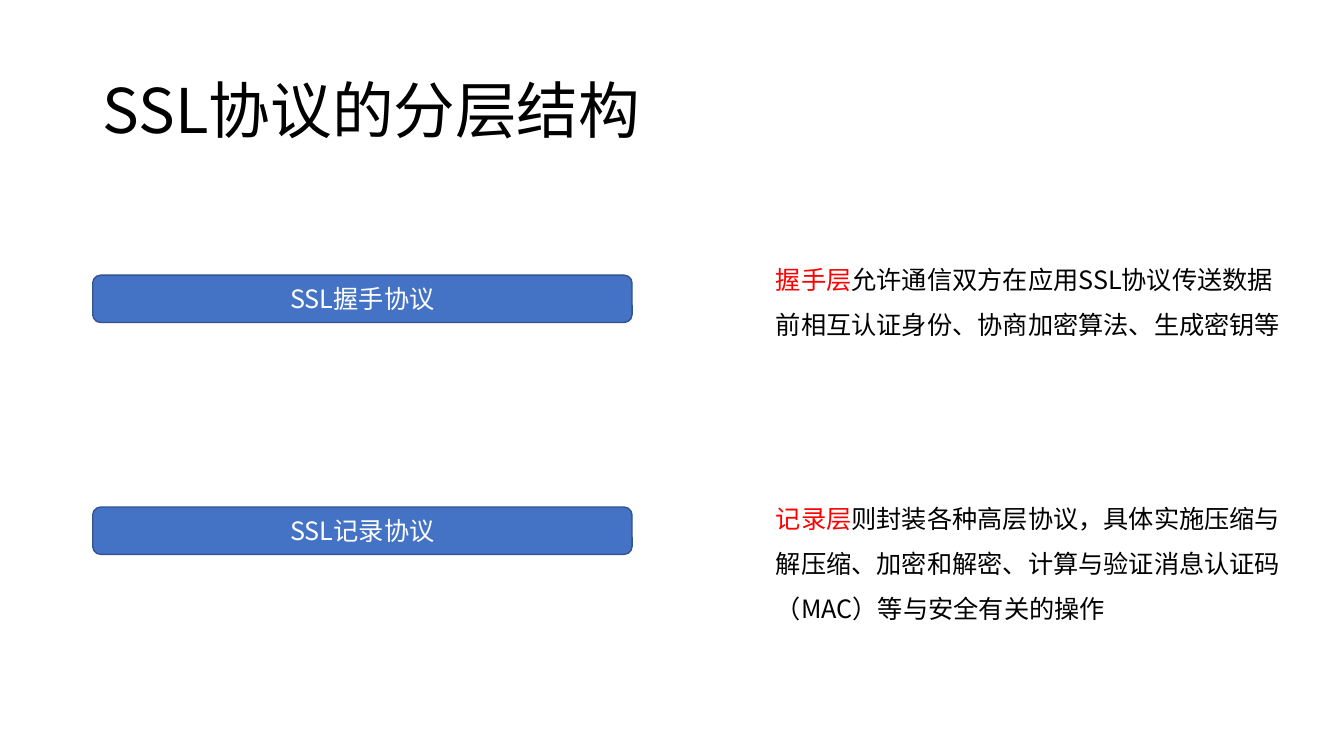
import pptx
import pptx.dml.color
import pptx.enum.shapes
import pptx.enum.text
import pptx.oxml.ns
import pptx.util
import lxml.etree

ALIGN = pptx.enum.text.PP_ALIGN
ANCHOR = pptx.enum.text.MSO_ANCHOR
AUTO = pptx.enum.text.MSO_AUTO_SIZE
COLORS = {"text": "000000", "accent": "FF0000", "bar": "4472C4",
          "border": "325491", "bar_text": "FFFFFF"}
FONT = "Noto Sans CJK SC"


def rgb(name):
    """Return the named colour."""
    return pptx.dml.color.RGBColor.from_string(COLORS[name])


def write(tf, lines, size=18, color="text", align=ALIGN.LEFT, spacing=1.0,
          anchor=ANCHOR.MIDDLE, wrap=True, auto_size=AUTO.NONE):
    """Fill a text frame with lines, each a list of (text, colour) or a string."""
    tf.auto_size, tf.word_wrap, tf.vertical_anchor = auto_size, wrap, anchor
    for i, line in enumerate(lines):
        p = tf.add_paragraph() if i else tf.paragraphs[0]
        p.alignment, p.line_spacing = align, spacing
        for text, shade in [(line, color)] if isinstance(line, str) else line:
            r = p.add_run()
            r.text = text
            r.font.name, r.font.size = FONT, pptx.util.Pt(size)
            r.font.color.rgb = rgb(shade)
            ea = lxml.etree.SubElement(r.font._element, pptx.oxml.ns.qn("a:ea"))
            ea.set("typeface", FONT)


class Deck:
    """Hold the style and the current slide; lengths are percent of its size."""

    def __init__(self, width, height):
        """Start a presentation with one title-only slide."""
        self.prs = pptx.Presentation()
        self.prs.slide_width = pptx.util.Inches(width)
        self.prs.slide_height = pptx.util.Inches(height)
        self.s = self.prs.slides.add_slide(self.prs.slide_layouts[5])

    def box(self, x, y, w, h):
        """Convert percentages to slide lengths."""
        sw, sh = self.prs.slide_width, self.prs.slide_height
        return [int(v * full / 100) for v, full in zip((x, y, w, h), (sw, sh, sw, sh))]

    def title(self, text, *area):
        """Place and format the title."""
        sp = self.s.shapes.title
        sp.left, sp.top, sp.width, sp.height = self.box(*area)
        write(sp.text_frame, [text], size=44, spacing=0.9)

    def bar(self, text, *area):
        """Add a rounded bar with a centred label."""
        kind = pptx.enum.shapes.MSO_SHAPE.ROUNDED_RECTANGLE
        sp = self.s.shapes.add_shape(kind, *self.box(*area))
        sp.shadow.inherit = False
        sp.fill.solid()
        sp.fill.fore_color.rgb = rgb("bar")
        sp.line.color.rgb = rgb("border")
        sp.line.width = pptx.util.Pt(1)
        write(sp.text_frame, [text], color="bar_text", align=ALIGN.CENTER)

    def note(self, lines, *area):
        """Add a justified description."""
        sp = self.s.shapes.add_textbox(*self.box(*area))
        write(sp.text_frame, lines, align=ALIGN.JUSTIFY, spacing=1.5, wrap=False,
              anchor=ANCHOR.TOP, auto_size=AUTO.SHAPE_TO_FIT_TEXT)


LAYERS = [
    ("SSL握手协议", 36.4, 32.27, 12.8,
     [[("握手层", "accent"), ("允许通信双方在应用SSL协议传送数据", "text")],
      "前相互认证身份、协商加密算法、生成密钥等"]),
    ("SSL记录协议", 67.07, 63.87, 18.93,
     [[("记录层", "accent"), ("则封装各种高层协议，具体实施压缩与", "text")],
      "解压缩、加密和解密、计算与验证消息认证码",
      "（MAC）等与安全有关的操作"]),
]

deck = Deck(13.33, 7.5)
deck.title("SSL协议的分层结构", 6.9, 5.33, 86.27, 19.33)
for name, bar_top, note_top, note_height, lines in LAYERS:
    deck.bar(name, 6.9, bar_top, 40.13, 6.27)
    deck.note(lines, 57, note_top, 39.4, note_height)
deck.prs.save("out.pptx")
